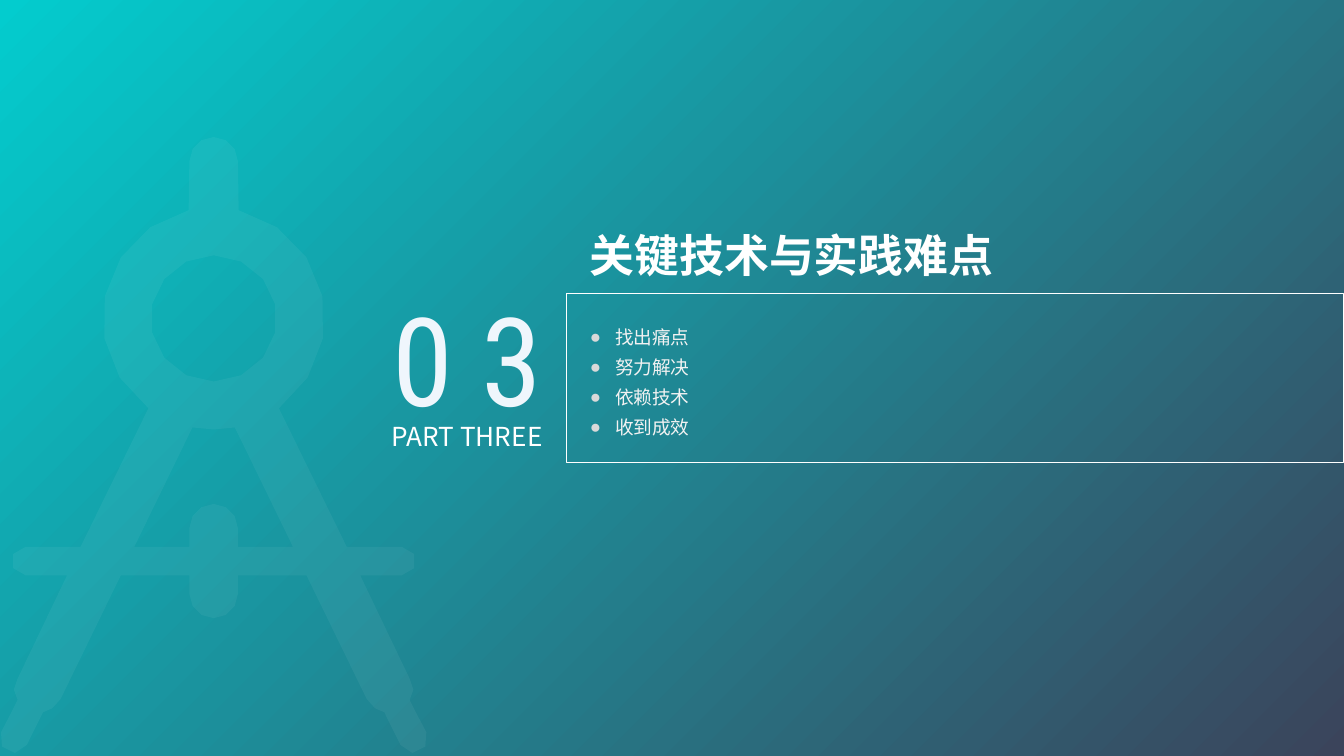
"""Build the section slide for part three."""
import math

from lxml import etree
from pptx import Presentation
from pptx import util as u
from pptx.dml.color import RGBColor
from pptx.enum import shapes, text
from pptx.oxml import ns

Pt = u.Pt
COLORS = {"teal": "03CCCE", "slate": "3B445B", "white": "FFFFFF",
          "number": "EFF6FC", "item": "F2F2F2", "bullet": "D9D9D9"}
SANS, CONDENSED = "Noto Sans CJK SC", "Roboto Condensed"
AXIS = 114.5
RING_Y = 170.6
GOALS = ["找出痛点", "努力解决", "依赖技术", "收到成效"]


def rgb(name):
    return RGBColor.from_string(COLORS[name])


def child(parent, tag, **attributes):
    return etree.SubElement(parent, ns.qn(tag), attributes)


def paint_background(slide):
    fill = slide.background.fill
    fill.gradient()
    fill.gradient_angle = 315
    for stop, name in zip(fill.gradient_stops, ("teal", "slate")):
        stop.color.rgb = rgb(name)


def arc(x, y, radius, start, end, steps=3):
    angles = [math.radians(start + (end - start) * i / steps) for i in range(steps + 1)]
    return [(x + radius * math.cos(a), y + radius * math.sin(a)) for a in angles]


def mirrored(half):
    """Close a right half, given as offsets from the axis, with its mirror image."""
    both = half + [(-x, y) for x, y in reversed(half) if x > 0.01]
    return [(Pt(AXIS + x), Pt(y)) for x, y in both]


def add_compass(slide):
    outline = (
        arc(0, 86.4, 13, -90, 0) + arc(0, RING_Y, 59.5, -77, 54, steps=6)
        + [(71.3, 293)] + arc(100.8, 300.6, 7.6, -90, 90)
        + [(78.5, 308.2), (105, 363.6), (107, 369.5), (105, 375), (108, 381)]
        + arc(107, 395.7, 7.7, -26, 154)
        + [(91.4, 381.6), (86.5, 379.5), (82, 374.5), (49.7, 308.2), (13, 308.2)]
        + arc(0, 318.2, 13, 0, 90))
    leg_gap = (arc(0, 283, 13, -90, 0) + [(13, 293), (42.5, 293)]
               + arc(0, RING_Y, 59.5, 79, 90, steps=1))
    ring_hole = arc(0, RING_Y, 33.8, -90, 90, steps=7)

    contours = [mirrored(half) for half in (outline, leg_gap, ring_hole)]
    builder = slide.shapes.build_freeform(*contours[0][0])
    builder.add_line_segments(contours[0][1:], close=True)
    for contour in contours[1:]:
        builder.move_to(*contour[0])
        builder.add_line_segments(contour[1:], close=True)
    compass = builder.convert_to_shape()
    compass.shadow.inherit = False
    compass.line.fill.background()
    compass.fill.solid()
    compass.fill.fore_color.rgb = rgb("white")
    tint = compass.fill._xPr.find(ns.qn("a:solidFill"))[0]
    child(tint, "a:alpha", val="5000")


def add_box(slide, kind, left, top, width, height):
    """Add an unfilled preset shape."""
    box = slide.shapes.add_shape(kind, Pt(left), Pt(top), Pt(width), Pt(height))
    box.shadow.inherit = False
    box.fill.background()
    return box


def add_frame(slide, *place):
    frame = add_box(slide, shapes.MSO_SHAPE.RECTANGLE, *place)
    frame.line.color.rgb = rgb("white")
    frame.line.width = Pt(0.5)


def add_title_box(slide, *place):
    title = add_box(slide, shapes.MSO_SHAPE.ROUNDED_RECTANGLE, *place)
    title.adjustments[0] = 0
    title.line.fill.background()
    return title


def add_label_box(slide, left, top, width, height):
    return slide.shapes.add_textbox(Pt(left), Pt(top), Pt(width), Pt(height))


def add_bullet(paragraph):
    properties = paragraph._p.get_or_add_pPr()
    indent = Pt(13.5)
    properties.set("marL", str(indent))
    properties.set("indent", str(-indent))
    child(child(properties, "a:buClr"), "a:srgbClr", val=COLORS["bullet"])
    child(properties, "a:buFont", typeface="Arial")
    child(properties, "a:buChar", char="●")


def write(box, lines, *, size, color="white", font=SANS, bold=False,
          align=text.PP_ALIGN.LEFT, anchor=text.MSO_ANCHOR.TOP,
          wrap=True, spacing=None, bullets=False):
    frame = box.text_frame
    frame.word_wrap = wrap
    frame.vertical_anchor = anchor
    for i, line in enumerate(lines):
        paragraph = frame.paragraphs[0] if i == 0 else frame.add_paragraph()
        paragraph.alignment = align
        if spacing:
            paragraph.line_spacing = Pt(spacing)
        if bullets:
            add_bullet(paragraph)
        run = paragraph.add_run()
        run.text = line
        run.font.size = Pt(size)
        run.font.bold = bold
        run.font.name = font
        run.font.color.rgb = rgb(color)
        child(run.font._element, "a:ea", typeface=font)


def main():
    deck = Presentation()
    deck.slide_width, deck.slide_height = Pt(720), Pt(405)
    slide = deck.slides.add_slide(deck.slide_layouts[6])
    center = text.PP_ALIGN.CENTER

    paint_background(slide)
    add_compass(slide)
    add_frame(slide, 303.3, 157, 416.7, 90.7)
    write(add_title_box(slide, 308.9, 117.4, 289.4, 37.4), ["关键技术与实践难点"],
          size=24, bold=True, anchor=text.MSO_ANCHOR.MIDDLE)
    write(add_label_box(slide, 201.6, 148.3, 97.2, 87.1), ["0 3"], size=66,
          color="number", font=CONDENSED, align=center, wrap=False)
    write(add_label_box(slide, 308.9, 167.2, 68.4, 72), GOALS, size=10,
          color="item", wrap=False, spacing=16, bullets=True)
    write(add_label_box(slide, 196.9, 221.8, 106.6, 24.5), ["PART THREE"],
          size=14, align=center)
    deck.save("out.pptx")


if __name__ == "__main__":
    main()
